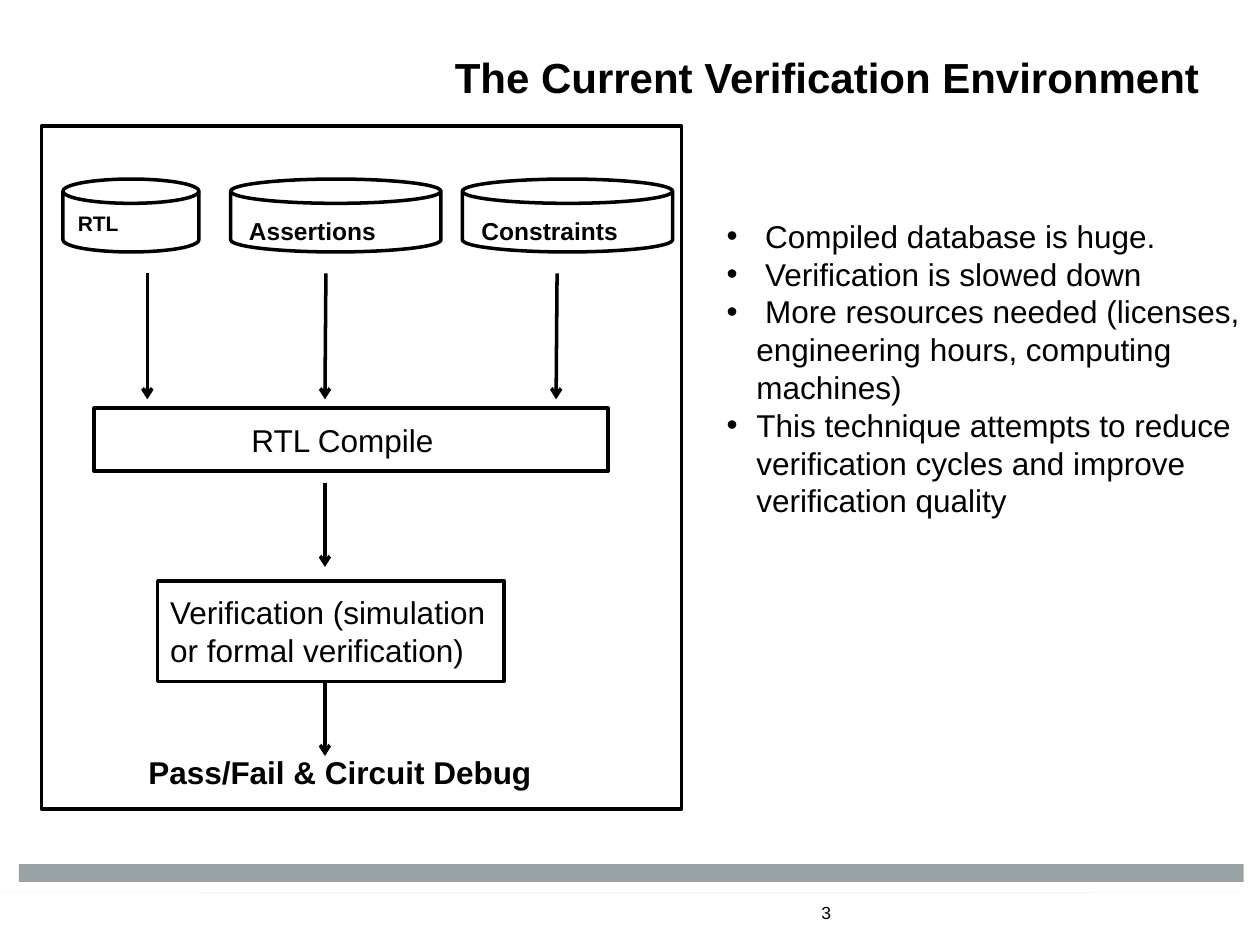
from dataclasses import dataclass
from typing import Any

import pptx
import pptx.dml.color
import pptx.enum.shapes
import pptx.enum.text
import pptx.oxml
import pptx.oxml.ns
import pptx.util

Cm = pptx.util.Cm
Pt = pptx.util.Pt
Kind = pptx.enum.shapes.MSO_SHAPE
Align = pptx.enum.text.PP_ALIGN


@dataclass(frozen=True)
class Theme:
    font: str = "Arial"
    ink: str = "000000"
    paper: str = "FFFFFF"
    bar: str = "99A2A5"
    band: str = "CDD6D1"
    title: float = 24
    body: float = 18
    label: float = 14
    small: float = 12
    page: float = 10
    gap: float = 5
    line: float = 2


@dataclass(frozen=True)
class Box:
    left: float
    top: float
    width: float
    height: float


@dataclass(frozen=True)
class Run:
    text: str
    size: float
    bold: bool = False


@dataclass(frozen=True)
class Node:
    kind: Any
    box: Box
    runs: tuple[Run, ...]
    align: Any = Align.LEFT
    space: float = 1.0
    right: float = 0.25


@dataclass(frozen=True)
class Arrow:
    start: tuple[float, float]
    end: tuple[float, float]


@dataclass(frozen=True)
class Band:
    left: float
    notch: float
    right: float


THEME = Theme()
DISK = Kind.FLOWCHART_MAGNETIC_DISK
FRAME = Box(0.84, 2.54, 12.9, 13.77)
BAR = Box(0.38, 17.42, 24.69, 0.36)
BANDS = (Band(3.84, 6.48, 25.04), Band(0.38, 3.07, 22.17))
NODES = (
    Node(DISK, Box(1.27, 3.61, 2.74, 1.47),
         (Run(" ", THEME.gap), Run("RTL", THEME.small, True)), space=0.8),
    Node(DISK, Box(4.65, 3.61, 4.24, 1.47), (Run(" Assertions", THEME.label, True),)),
    Node(DISK, Box(9.32, 3.61, 4.24, 1.47), (Run(" Constraints", THEME.label, True),)),
    Node(Kind.RECTANGLE, Box(1.9, 8.23, 10.36, 1.27),
         (Run("RTL Compile", THEME.body),), align=Align.CENTER, right=0.6),
    Node(Kind.RECTANGLE, Box(3.18, 11.71, 6.98, 2.03),
         (Run("Verification (simulation or formal verification)", THEME.body),)),
)
ARROWS = (
    Arrow((2.97, 5.51), (2.97, 8.05)),
    Arrow((6.57, 5.51), (6.55, 8.05)),
    Arrow((11.23, 5.51), (11.21, 8.05)),
    Arrow((6.55, 9.73), (6.55, 11.43)),
    Arrow((6.55, 13.77), (6.55, 15.24)),
)
POINTS = (
    " Compiled database is huge.",
    " Verification is slowed down",
    " More resources needed (licenses, engineering hours, computing machines)",
    "This technique attempts to reduce verification cycles and improve verification quality",
)


def tint(code: str) -> Any:
    return pptx.dml.color.RGBColor.from_string(code)


def place(box: Box) -> tuple[Any, ...]:
    return Cm(box.left), Cm(box.top), Cm(box.width), Cm(box.height)


def paint(shape: Any, fill: str | None, line: str | None) -> None:
    shape.shadow.inherit = False
    if fill:
        shape.fill.solid()
        shape.fill.fore_color.rgb = tint(fill)
    else:
        shape.fill.background()
    if line:
        shape.line.color.rgb = tint(line)
        shape.line.width = Pt(THEME.line)
    else:
        shape.line.fill.background()


def setup(frame: Any, side: float, edge: float, right: float = 0.25) -> None:
    """Set wrapping, top anchor and margins of a text frame."""
    frame.word_wrap = True
    frame.vertical_anchor = pptx.enum.text.MSO_ANCHOR.TOP
    frame.margin_left, frame.margin_right = Cm(side), Cm(right)
    frame.margin_top = frame.margin_bottom = Cm(edge)


def write(para: Any, runs: tuple[Run, ...], align: Any = Align.LEFT,
          space: float = 1.0) -> None:
    para.alignment = align
    para.line_spacing = space
    for item in runs:
        run = para.add_run()
        run.text = item.text
        run.font.name = THEME.font
        run.font.size = Pt(item.size)
        run.font.bold = item.bold
        run.font.color.rgb = tint(THEME.ink)


def add_text(slide: Any, box: Box, run: Run, align: Any = Align.LEFT,
             space: float = 1.0, wrap: bool = True) -> None:
    frame = slide.shapes.add_textbox(*place(box)).text_frame
    setup(frame, 0.25, 0.13)
    frame.word_wrap = wrap
    write(frame.paragraphs[0], (run,), align, space)


def add_list(slide: Any, box: Box, points: tuple[str, ...]) -> None:
    frame = slide.shapes.add_textbox(*place(box)).text_frame
    setup(frame, 0.25, 0.13)
    space = pptx.oxml.ns.nsdecls("a")
    indent = Cm(0.6)
    for index, point in enumerate(points):
        para = frame.add_paragraph() if index else frame.paragraphs[0]
        props = para._p.get_or_add_pPr()
        props.set("marL", str(indent))
        props.set("indent", str(-indent))
        for mark in (
            f'<a:buClr {space}><a:srgbClr val="{THEME.ink}"/></a:buClr>',
            f'<a:buFont {space} typeface="{THEME.font}"/>',
            f'<a:buChar {space} char="•"/>',
        ):
            props.append(pptx.oxml.parse_xml(mark))
        write(para, (Run(point, THEME.body),))


def add_node(slide: Any, node: Node) -> None:
    shape = slide.shapes.add_shape(node.kind, *place(node.box))
    paint(shape, THEME.paper, THEME.ink)
    setup(shape.text_frame, 0.25, 0.25, node.right)
    write(shape.text_frame.paragraphs[0], node.runs, node.align, node.space)


def add_arrow(slide: Any, arrow: Arrow) -> None:
    ends = [Cm(value) for value in arrow.start + arrow.end]
    line = slide.shapes.add_connector(pptx.enum.shapes.MSO_CONNECTOR.STRAIGHT, *ends)
    line.line.color.rgb = tint(THEME.ink)
    line.line.width = Pt(THEME.line)
    space = pptx.oxml.ns.nsdecls("a")
    line.line._get_or_add_ln().append(
        pptx.oxml.parse_xml(f'<a:tailEnd {space} type="arrow"/>'))
    line._element.spPr.append(pptx.oxml.parse_xml(f"<a:effectLst {space}/>"))


def add_band(slide: Any, band: Band) -> None:
    """Draw a footer strip with a notch in its lower edge."""
    top, peak, base, half = 17.5, 17.7, 17.98, 0.3
    pen = slide.shapes.build_freeform(band.right, top, scale=Cm(1))
    pen.add_line_segments((
        (band.right, base), (band.notch + half, base), (band.notch, peak),
        (band.notch - half, base), (band.left, base), (band.left, top),
    ), close=True)
    paint(pen.convert_to_shape(), THEME.band, None)


def main() -> None:
    deck = pptx.Presentation()
    deck.slide_width, deck.slide_height = Cm(25.4), Cm(19.05)
    slide = deck.slides.add_slide(deck.slide_layouts[6])
    for band in BANDS:
        add_band(slide, band)
    paint(slide.shapes.add_shape(Kind.RECTANGLE, *place(BAR)), THEME.bar, None)
    add_text(slide, Box(0, 1.07, 24.66, 1.83),
             Run("The Current Verification Environment ", THEME.title, True),
             Align.RIGHT, 0.85)
    paint(slide.shapes.add_shape(Kind.RECTANGLE, *place(FRAME)), None, THEME.ink)
    for node in NODES:
        add_node(slide, node)
    for arrow in ARROWS:
        add_arrow(slide, arrow)
    add_text(slide, Box(2.74, 15.06, 8.23, 1.02),
             Run("Pass/Fail & Circuit Debug", THEME.body, True), wrap=False)
    add_list(slide, Box(14.4, 4.24, 11, 8.46), POINTS)
    add_text(slide, Box(16.31, 18.06, 1.9, 0.86), Run("3", THEME.page))
    deck.save("out.pptx")


if __name__ == "__main__":
    main()
